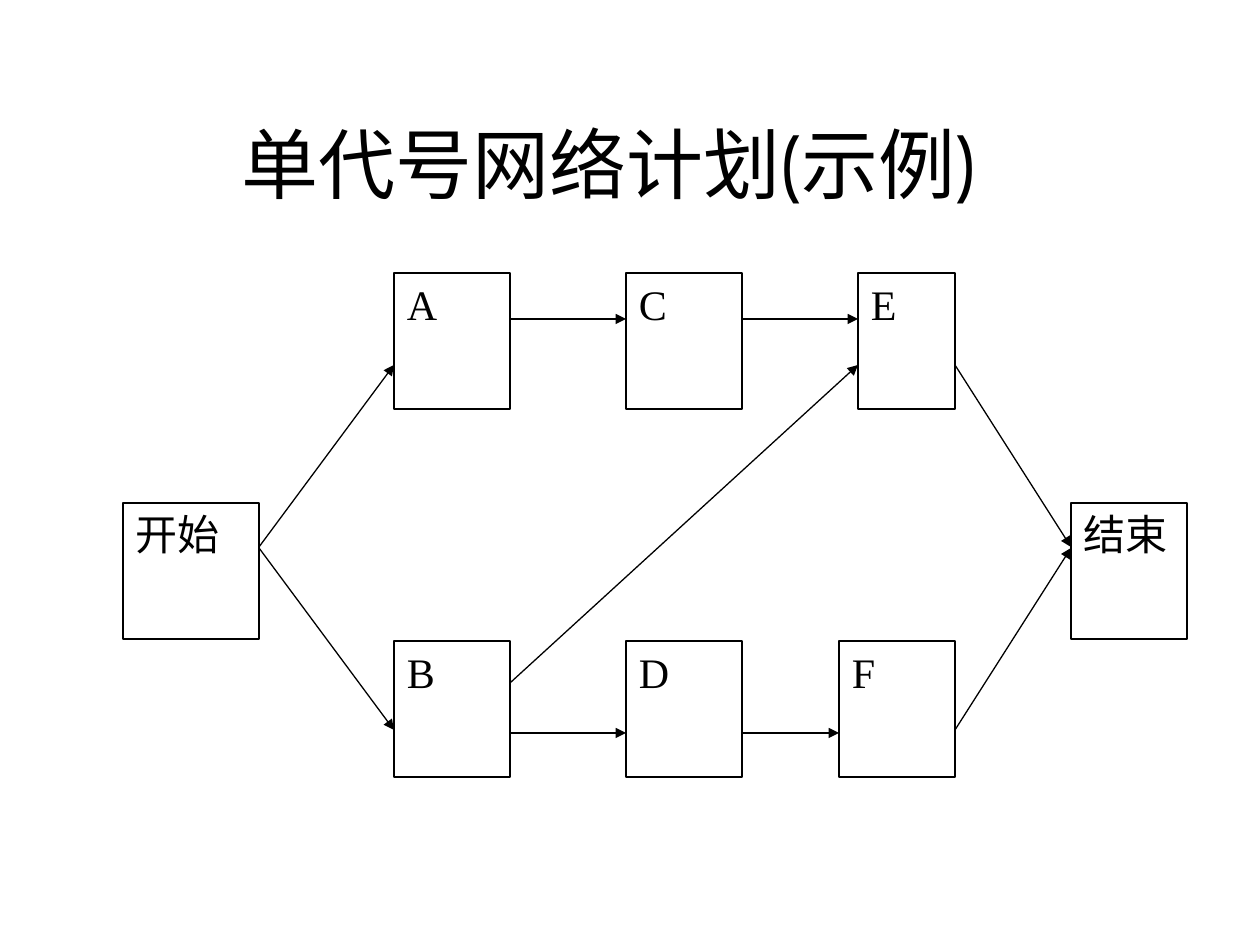
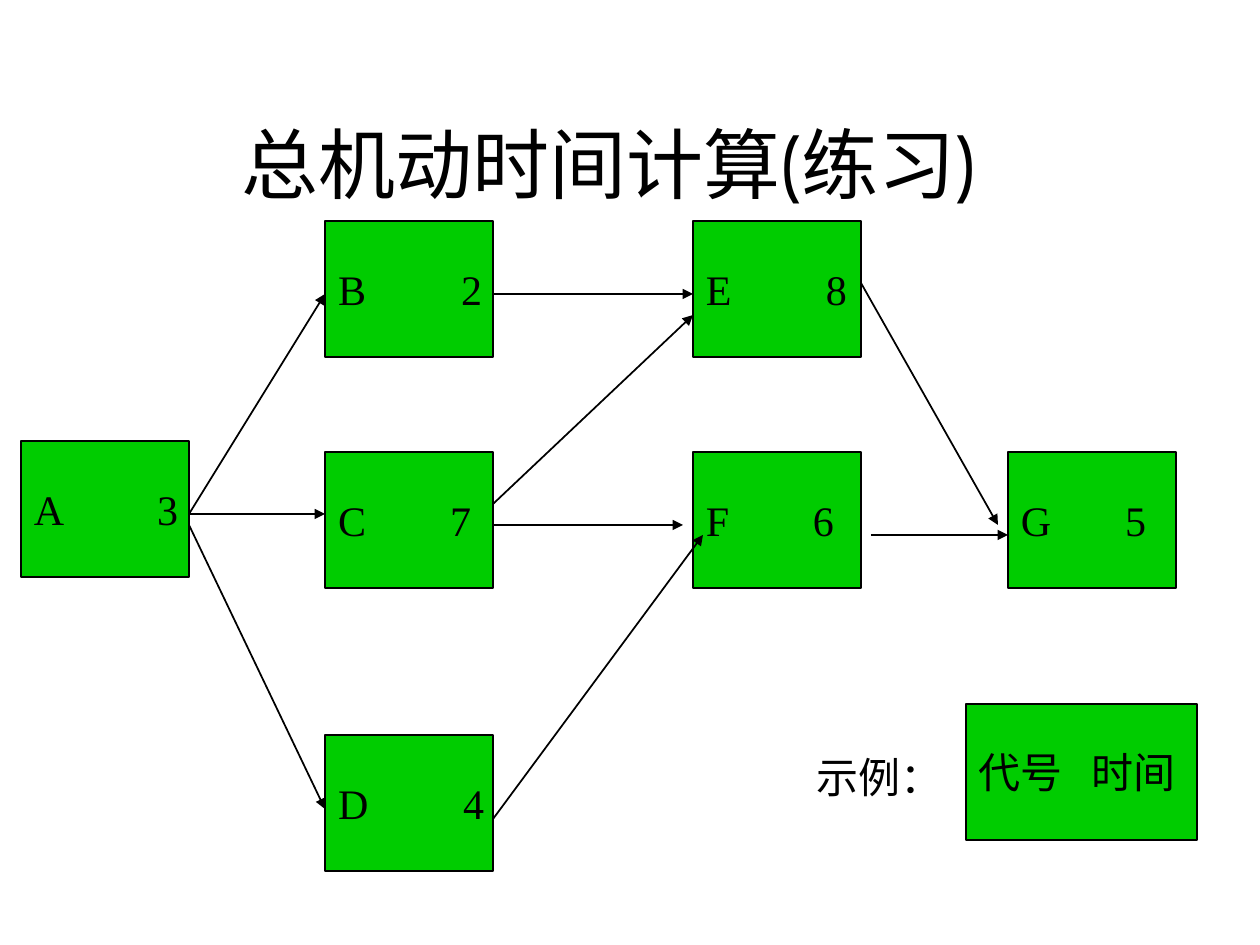
from lxml.etree import SubElement
from pptx import Presentation
from pptx.dml.color import RGBColor
from pptx.enum.shapes import MSO_CONNECTOR as Connector, MSO_SHAPE as Preset
from pptx.enum.text import MSO_ANCHOR as Anchor, PP_ALIGN as Align
from pptx.oxml.ns import qn
from pptx.util import Emu, Pt

PX_PER_INCH = 126
COLORS = {"ink": "000000", "paper": "FFFFFF", "green": "00CC00"}
TITLE_FONT, BODY_FONT = "Cabin", "Times New Roman"
INSET_X, INSET_Y = 13, 6


def px(length):
    return Emu(round(length * 914400 / PX_PER_INCH))


def color(name):
    return RGBColor.from_string(COLORS[name])


class NetworkDeck:
    """Holds the deck's style and the slide being drawn."""

    def __init__(self):
        self.deck = Presentation()
        self.deck.slide_width, self.deck.slide_height = px(1260), px(945)

    def start_slide(self, title, fill, line_width):
        self.slide = self.deck.slides.add_slide(self.deck.slide_layouts[6])
        self.fill, self.line_width = fill, line_width
        self.nodes = {}
        self.text(title, (73, 84, 1071, 158), TITLE_FONT, 44, Align.CENTER, Anchor.MIDDLE)

    def set_text(self, frame, text, font, size, align, anchor):
        frame.margin_left = frame.margin_right = px(INSET_X)
        frame.margin_top = frame.margin_bottom = px(INSET_Y)
        frame.vertical_anchor = anchor
        frame.word_wrap = True
        paragraph = frame.paragraphs[0]
        paragraph.alignment = align
        run = paragraph.add_run()
        run.text = text
        run.font.name, run.font.size = font, Pt(size)
        run.font.color.rgb = color("ink")

    def text(self, text, box, font=BODY_FONT, size=24, align=Align.LEFT, anchor=Anchor.TOP):
        frame = self.slide.shapes.add_textbox(*map(px, box)).text_frame
        self.set_text(frame, text, font, size, align, anchor)
        return frame

    def node(self, name, box, align, anchor, duration=None, tab=0):
        """Draw an activity box; a duration is set at a tab stop after the name."""
        shape = self.slide.shapes.add_shape(Preset.RECTANGLE, *map(px, box))
        shape.shadow.inherit = False
        shape.fill.solid()
        shape.fill.fore_color.rgb = color(self.fill)
        shape.line.color.rgb = color("ink")
        shape.line.width = Pt(self.line_width)
        frame = shape.text_frame
        if duration:
            properties = frame.paragraphs[0]._p.get_or_add_pPr()
            stops = SubElement(properties, qn("a:tabLst"))
            SubElement(stops, qn("a:tab"), pos=str(px(tab)), algn="l")
        label = f"{name}\t{duration}" if duration else name
        self.set_text(frame, label, BODY_FONT, 24, align, anchor)
        if duration:
            frame.margin_right = 0
        self.nodes[name] = shape

    def arrow(self, source, target, start_y, end_y, start_shift=0, end_shift=0):
        """Run from the source's right side to the target's left side."""
        origin, goal = self.nodes[source], self.nodes[target]
        start_x = origin.left + origin.width + px(start_shift)
        line = self.slide.shapes.add_connector(
            Connector.STRAIGHT, start_x, px(start_y), goal.left + px(end_shift), px(end_y))
        line.line.color.rgb = color("ink")
        line.line.width = Pt(self.line_width)
        properties = line._element.spPr
        SubElement(properties.find(qn("a:ln")), qn("a:tailEnd"), type="triangle")
        SubElement(properties, qn("a:effectLst"))


def draw_example(deck):
    deck.start_slide("单代号网络计划(示例)", "paper", 0.75)
    upper, middle, lower = 273, 503, 641
    activities = [
        ("开始", 123, middle, 136), ("A", 394, upper, 116), ("B", 394, lower, 116),
        ("C", 626, upper, 116), ("D", 626, lower, 116), ("E", 858, upper, 97),
        ("F", 839, lower, 116), ("结束", 1071, middle, 116),
    ]
    for name, left, top, width in activities:
        deck.node(name, (left, top, width, 136), Align.JUSTIFY, Anchor.TOP)
    dependencies = [
        ("开始", "A", 547, 365), ("开始", "B", 548, 730),
        ("A", "C", 319, 319), ("C", "E", 319, 319),
        ("B", "D", 733, 733), ("D", "F", 733, 733),
        ("E", "结束", 365, 547), ("F", "结束", 730, 548), ("B", "E", 683, 365),
    ]
    for dependency in dependencies:
        deck.arrow(*dependency)


def draw_exercise(deck):
    deck.start_slide("总机动时间计算(练习)", "green", 1)
    upper, middle, lower = 221, 452, 735
    second, third = 325, 693
    activities = [
        ("A", "3", 21, 441, 123), ("E", "8", third, upper, 120),
        ("C", "7", second, middle, 112), ("F", "6", third, middle, 107),
        ("D", "4", second, lower, 125), ("B", "2", second, upper, 123),
        ("G", "5", 1008, middle, 104),
    ]
    for name, duration, left, top, tab in activities:
        deck.node(name, (left, top, 168, 136), Align.LEFT, Anchor.MIDDLE, duration, tab)
    dependencies = [
        ("A", "C", 514, 514), ("B", "E", 294, 294), ("F", "G", 535, 535, 10),
        ("C", "F", 525, 525, 0, -10), ("A", "B", 514, 294), ("A", "D", 525, 809),
        ("E", "G", 283, 525, 0, -10), ("D", "F", 819, 535, 0, 10), ("C", "E", 504, 315),
    ]
    for dependency in dependencies:
        deck.arrow(*dependency)
    deck.node("代号", (966, 704, 231, 136), Align.LEFT, Anchor.MIDDLE, "时间", 113)
    deck.text("示例：", (804, 746, 151, 63)).word_wrap = False


def main():
    network = NetworkDeck()
    draw_example(network)
    draw_exercise(network)
    network.deck.save("out.pptx")


if __name__ == "__main__":
    main()
